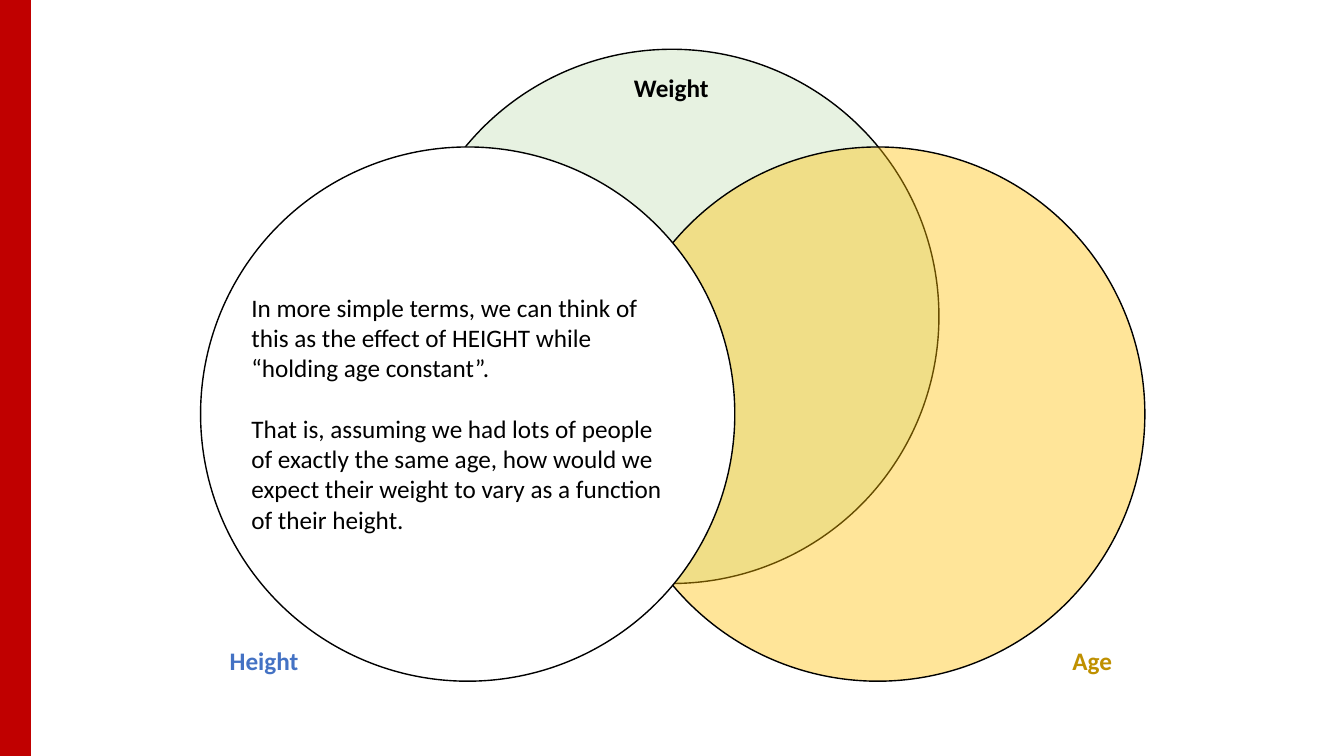
from lxml import etree
from pptx import Presentation
from pptx.dml.color import RGBColor
from pptx.enum.shapes import MSO_SHAPE
from pptx.enum.text import MSO_AUTO_SIZE
from pptx.oxml.ns import qn
from pptx.util import Pt

RECTANGLE = MSO_SHAPE.RECTANGLE
OVAL = MSO_SHAPE.OVAL
FIT_SHAPE = MSO_AUTO_SIZE.SHAPE_TO_FIT_TEXT

BLACK = "000000"
WHITE = "FFFFFF"
RED = "C00000"
DIAMETER = 381.6


def color(value):
    return RGBColor.from_string(value)


class VennSlide:
    font_name = "Calibri"
    font_size = 18
    line_width = 1

    def __init__(self, presentation):
        self.slide = presentation.slides.add_slide(presentation.slide_layouts[6])

    def shape(self, kind, left, top, width, height, fill, line, opacity=100):
        shape = self.slide.shapes.add_shape(
            kind, Pt(left), Pt(top), Pt(width), Pt(height)
        )
        shape.shadow.inherit = False
        shape.fill.solid()
        shape.fill.fore_color.rgb = color(fill)
        shape.line.color.rgb = color(line)
        shape.line.width = Pt(self.line_width)
        if opacity < 100:
            fill_color = shape.element.spPr.find(qn("a:solidFill"))[0]
            etree.SubElement(fill_color, qn("a:alpha"), val=str(opacity * 1000))

    def circle(self, left, top, fill, opacity=100):
        self.shape(OVAL, left, top, DIAMETER, DIAMETER, fill, BLACK, opacity)

    def text(self, text, left, top, width, height, text_color=BLACK,
             bold=False, wrap=False, gap=0):
        box = self.slide.shapes.add_textbox(Pt(left), Pt(top), Pt(width), Pt(height))
        text_frame = box.text_frame
        text_frame.word_wrap = wrap
        text_frame.auto_size = FIT_SHAPE
        text_frame.text = text
        for index, paragraph in enumerate(text_frame.paragraphs):
            if index:
                paragraph.space_before = Pt(gap)
            for run in paragraph.runs:
                run.font.name = self.font_name
                run.font.size = Pt(self.font_size)
                run.font.bold = bold
                run.font.color.rgb = color(text_color)

    def label(self, text, left, top, width, text_color):
        self.text(text, left, top, width, 29, text_color, bold=True)


def main():
    presentation = Presentation()
    presentation.slide_width = Pt(960)
    presentation.slide_height = Pt(540)

    venn = VennSlide(presentation)
    venn.shape(RECTANGLE, 0, 0, 21.6, 540, RED, RED)
    venn.circle(289.1, 35.2, "C5E0B4", opacity=40)
    venn.label("Weight", 445.7, 48.4, 68.4, BLACK)
    venn.label("Height", 157, 457.5, 64, "4472C4")
    venn.label("Age", 758.9, 457.5, 43.2, "BF9000")
    venn.circle(436.2, 105, "FFC000", opacity=40)
    venn.circle(143.3, 105, WHITE)
    venn.text(
        "In more simple terms, we can think of this as the effect of HEIGHT "
        "while “holding age constant”.\n"
        "That is, assuming we had lots of people of exactly the same age, how "
        "would we expect their weight to vary as a function of their height.",
        172.5, 205.2, 311.8, 181.4, wrap=True, gap=21.6,
    )
    presentation.save("out.pptx")


if __name__ == "__main__":
    main()
